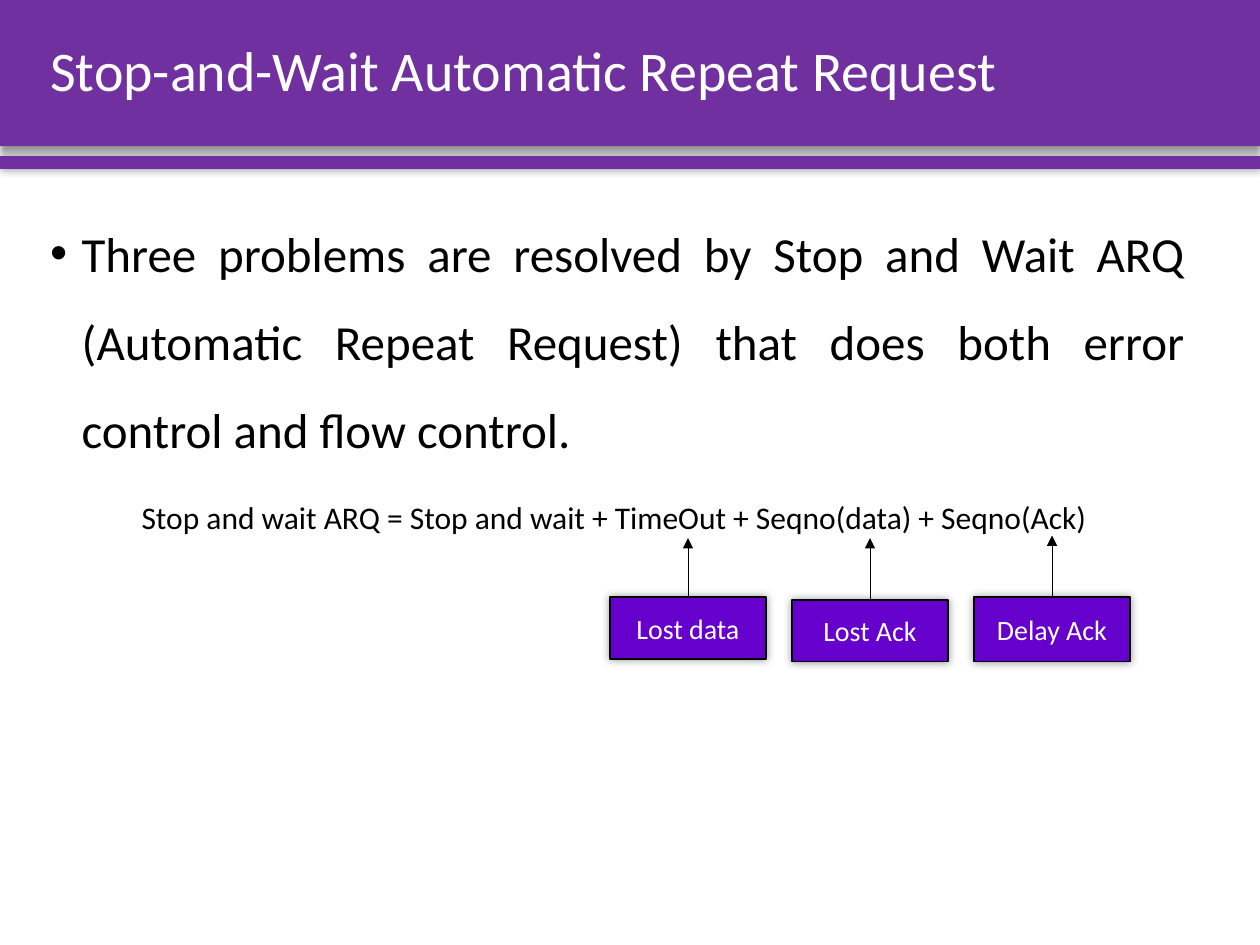
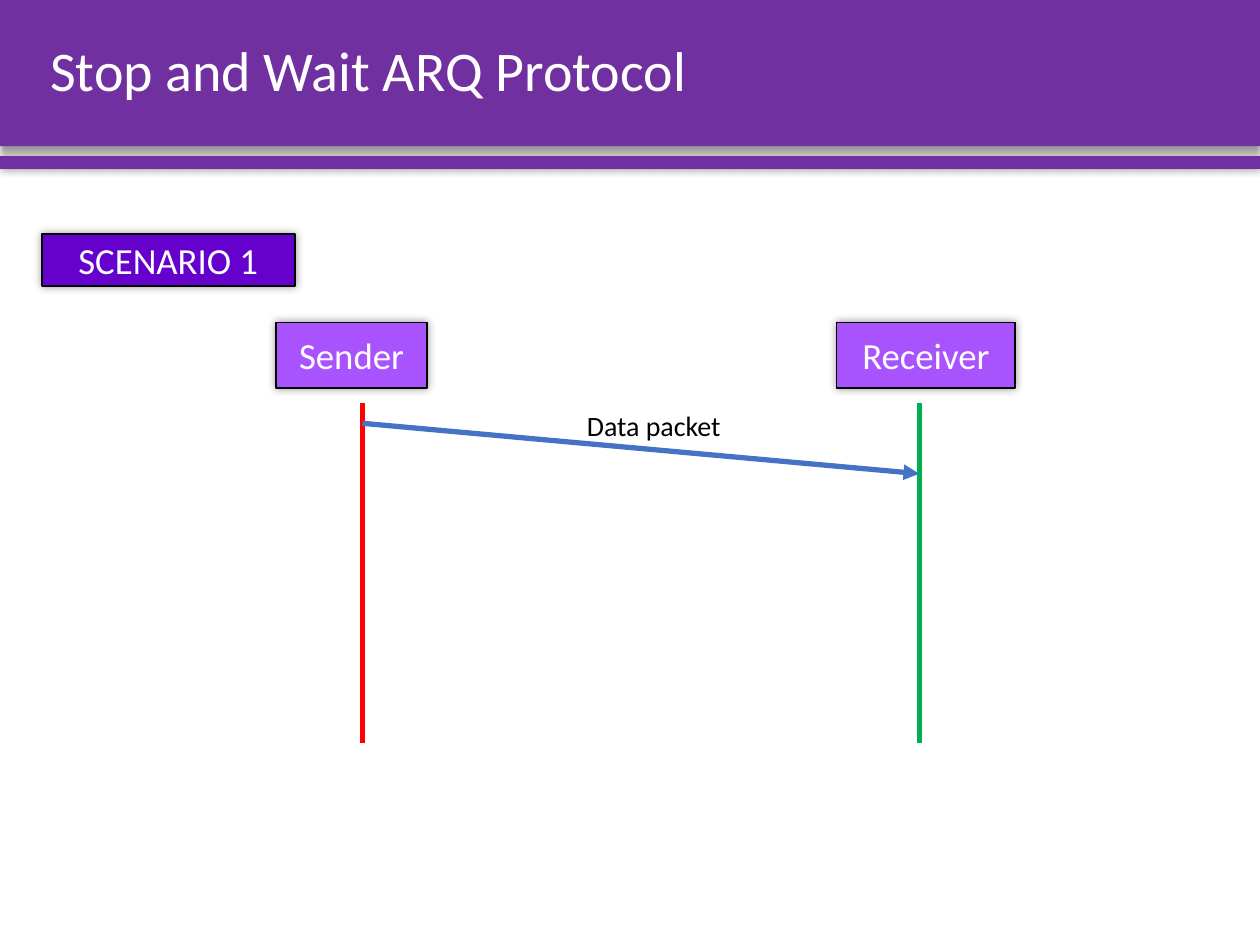
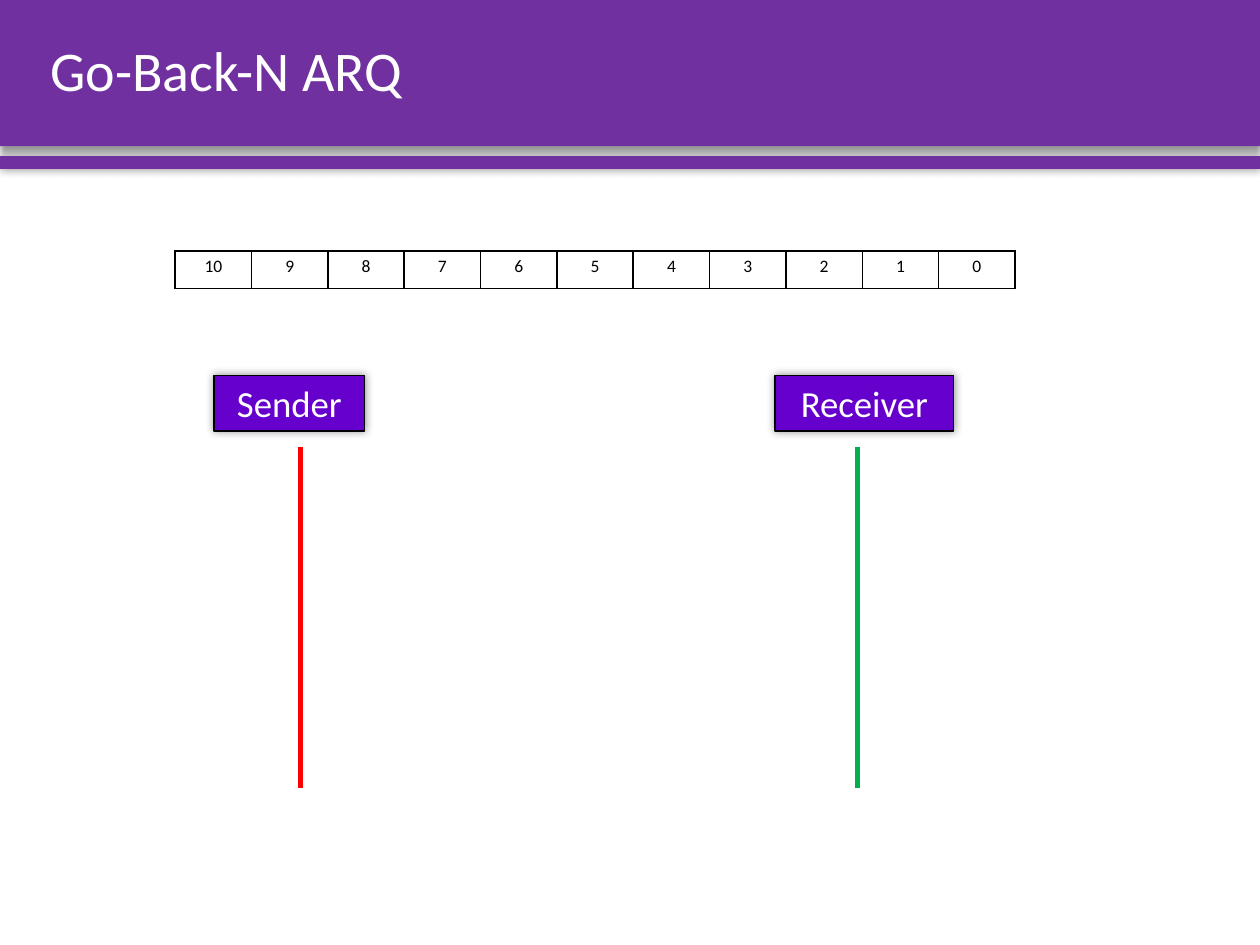
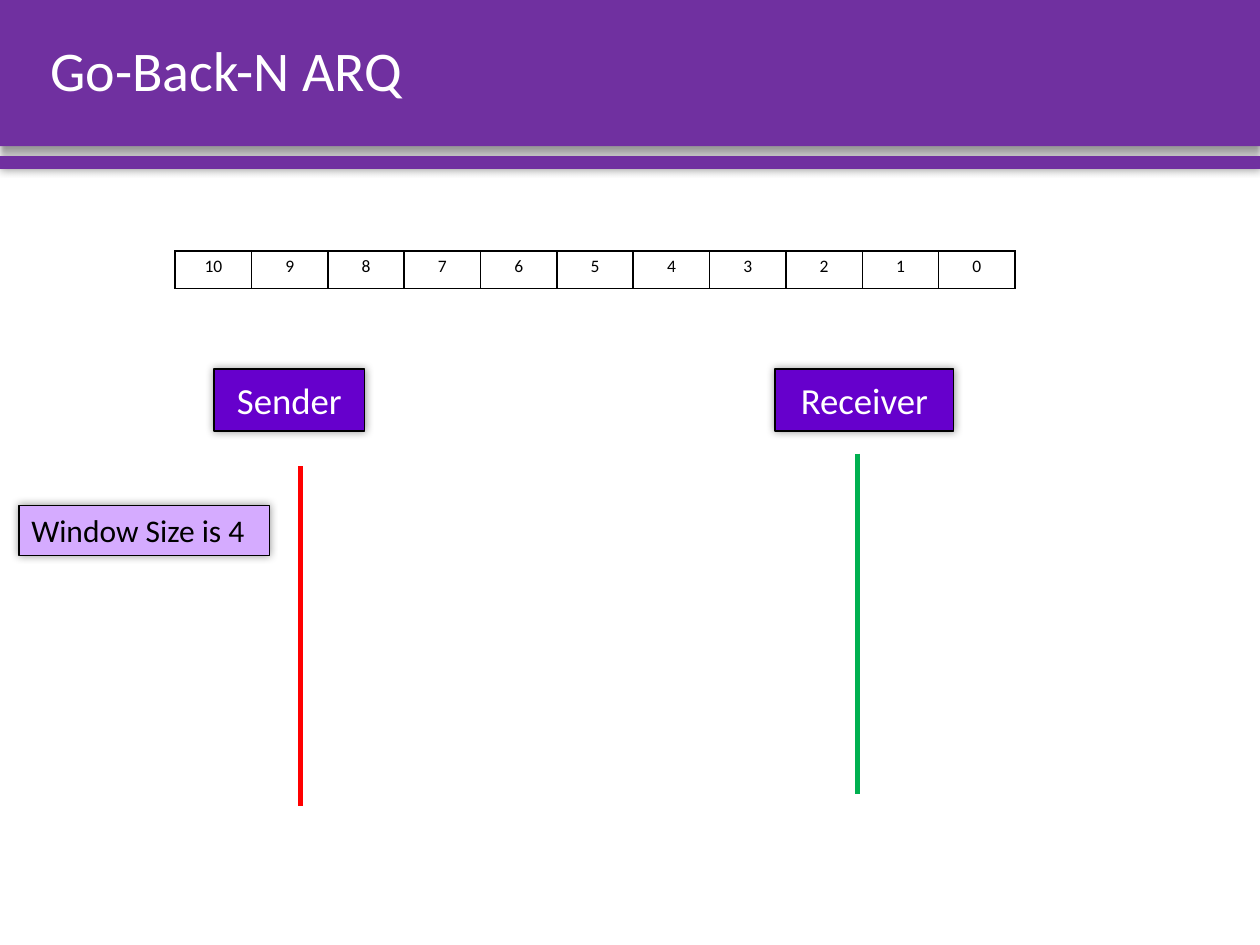
from collections import namedtuple

from lxml.etree import SubElement
from pptx import Presentation
from pptx.dml.color import RGBColor
from pptx.enum.shapes import MSO_CONNECTOR, MSO_SHAPE
from pptx.enum.text import MSO_ANCHOR, PP_ALIGN
from pptx.oxml.ns import qn
from pptx.util import Pt

# Shared look
BAND = RGBColor(0x70, 0x30, 0xA0)
VIOLET = RGBColor(0x66, 0x00, 0xCC)
LILAC = RGBColor(0xA9, 0x53, 0xFF)
PALE_LILAC = RGBColor(0xD5, 0xAB, 0xFF)
RED = RGBColor(0xFF, 0x00, 0x00)
GREEN = RGBColor(0x00, 0xB0, 0x50)
BLUE = RGBColor(0x44, 0x72, 0xC4)
BLACK = RGBColor(0x00, 0x00, 0x00)
WHITE = RGBColor(0xFF, 0xFF, 0xFF)
FONT = "Calibri"
PAGE_WIDTH, PAGE_HEIGHT = 720, 540

Box = namedtuple("Box", "left top width height")

# Main regions, in points
BAND_AREA = Box(0, 0, PAGE_WIDTH, 83.5)
BODY_AREA = Box(21.6, 107.3, 662.4, 172.8)
FORMULA_AREA = Box(21.6, 270, 658.8, 35.3)
TABLE_AREA = Box(100.1, 143.3, 480, 21.6)


# Basic parts
def set_all(target, formats):
    for name, value in formats.items():
        setattr(target, name, value)


def lengths(values):
    return [Pt(value) for value in values]


def write_text(holder, text, size, color, **formats):
    para = holder.text_frame.paragraphs[0]
    set_all(para, formats)
    span = para.add_run()
    span.text = text
    set_all(span.font, {"name": FONT, "size": Pt(size)})
    span.font.color.rgb = color
    return para


def add_text(page, area, text, size, color=BLACK, anchor=MSO_ANCHOR.TOP,
             wrap=True, **formats):
    box = page.shapes.add_textbox(*lengths(area))
    set_all(box.text_frame, {"word_wrap": wrap, "vertical_anchor": anchor})
    return write_text(box, text, size, color, **formats)


def add_shadow(shape, blur=5, distance=0, angle=0):
    shape.shadow.inherit = False
    effects = shape._element.spPr.find(qn("a:effectLst"))
    shadow = SubElement(effects, qn("a:outerShdw"), blurRad=str(Pt(blur)),
                        dist=str(Pt(distance)), dir=str(angle * 60000),
                        algn="ctr", rotWithShape="0")
    tint = SubElement(shadow, qn("a:srgbClr"), val=str(BLACK))
    SubElement(tint, qn("a:alpha"), val="40000")


def add_rectangle(page, area, fill, border=None, **shadow):
    shape = page.shapes.add_shape(MSO_SHAPE.RECTANGLE, *lengths(area))
    shape.fill.solid()
    shape.fill.fore_color.rgb = fill
    if border:
        shape.line.color.rgb = BLACK
        shape.line.width = Pt(border)
    else:
        shape.line.fill.background()
    add_shadow(shape, **shadow)
    return shape


def add_label(page, area, text, size, fill, color=WHITE, border=1,
              alignment=PP_ALIGN.CENTER):
    shape = add_rectangle(page, area, fill, border)
    set_all(shape.text_frame, {"word_wrap": True, "vertical_anchor": MSO_ANCHOR.MIDDLE})
    write_text(shape, text, size, color, alignment=alignment)
    return shape


def add_line(page, start, end, color, width, arrow=False):
    line = page.shapes.add_connector(MSO_CONNECTOR.STRAIGHT, *lengths(start + end))
    line.line.color.rgb = color
    line.line.width = Pt(width)
    properties = line._element.spPr
    if arrow:
        SubElement(properties.find(qn("a:ln")), qn("a:tailEnd"), type="triangle")
    SubElement(properties, qn("a:effectLst"))
    return line


# Regions
def title_band(page, area, title):
    add_rectangle(page, area, BAND, blur=4, distance=3, angle=90)
    stripe = Box(area.left, area.top + area.height + 5.8, area.width, 7.2)
    add_rectangle(page, stripe, BAND)
    title_area = Box(area.left + 21.6, area.top, 681.1, area.height)
    add_text(page, title_area, title, 32, WHITE, MSO_ANCHOR.MIDDLE, line_spacing=0.9)


def bullet_text(page, area, text):
    para = add_text(page, area, text, 28, alignment=PP_ALIGN.JUSTIFY, line_spacing=1.5)
    properties = para._p.get_or_add_pPr()
    properties.set("marL", str(Pt(18)))
    properties.set("indent", str(Pt(-18)))
    SubElement(properties, qn("a:buFont"), typeface="Arial")
    SubElement(properties, qn("a:buChar"), char="•")


def formula(page, area):
    """Formula line, with the problem that each added term solves below it."""
    add_text(page, area,
             "Stop and wait ARQ = Stop and wait + TimeOut + Seqno(data) + Seqno(Ack)",
             18, alignment=PP_ALIGN.CENTER, line_spacing=1.5)
    problems = [("Lost data", 71.3, 35.3, 37.5),
                ("Lost Ack", 72.7, 35.3, 37.5),
                ("Delay Ack", 71.3, 36.7, 36)]
    width, step = 89.3, 104
    for index, (text, drop, height, tip) in enumerate(problems):
        box = Box(area.left + 326.9 + index * step, area.top + drop, width, height)
        label = add_label(page, box, text, 16, VIOLET)
        middle = box.left + width / 2
        arrow = add_line(page, (middle, box.top), (middle, area.top + tip),
                         BLACK, 0.5, arrow=True)
        arrow.begin_connect(label, 0)


def sequence(page, area, fill, gaps):
    """Sender and receiver heads, each with a lifeline a gap below it."""
    lifeline_length = 194.4
    parties = [("Sender", 0, 86, 49.2, RED),
               ("Receiver", area.width - 102, 102, 367.4, GREEN)]
    for (name, shift, width, line_shift, color), gap in zip(parties, gaps):
        head = Box(area.left + shift, area.top, width, area.height)
        add_label(page, head, name, 21, fill)
        line_left = area.left + line_shift
        line_top = area.top + area.height + gap
        add_line(page, (line_left, line_top),
                 (line_left, line_top + lifeline_length), color, 3)


def frame_table(page, area, numbers):
    frame = page.shapes.add_table(1, len(numbers), *lengths(area))
    table = frame.table
    set_all(table, {"first_row": False, "horz_banding": False})
    margins = {"margin_left": Pt(5), "margin_right": Pt(5),
               "margin_top": Pt(2.9), "margin_bottom": Pt(2.9)}
    for column, number in enumerate(numbers):
        table.columns[column].width = Pt(area.width / len(numbers))
        cell = table.cell(0, column)
        set_all(cell, margins)
        write_text(cell, str(number), 10, BLACK, alignment=PP_ALIGN.CENTER)
        # Borders come before the fill in the cell properties
        properties = cell._tc.get_or_add_tcPr()
        for side in ("lnL", "lnR", "lnT", "lnB"):
            border = SubElement(properties, qn(f"a:{side}"), w=str(Pt(1)))
            paint = SubElement(border, qn("a:solidFill"))
            SubElement(paint, qn("a:srgbClr"), val=str(BLACK))
        cell.fill.background()


# Slides
def new_page(deck, title):
    page = deck.slides.add_slide(deck.slide_layouts[6])
    title_band(page, BAND_AREA, title)
    return page


def overview_slide(deck):
    page = new_page(deck, "Stop-and-Wait Automatic Repeat Request")
    bullet_text(page, BODY_AREA,
                "Three problems are resolved by Stop and Wait ARQ (Automatic Repeat "
                "Request) that does both error control and flow control.")
    formula(page, FORMULA_AREA)


def scenario_slide(deck):
    page = new_page(deck, "Stop and Wait ARQ Protocol")
    area = Box(157.9, 184.3, 422.2, 37.4)
    sequence(page, area, LILAC, (8.7, 8.7))
    add_line(page, (area.left + 49.2, area.top + 57.6),
             (area.left + 367.4, area.top + 86.4), BLUE, 3, arrow=True)
    add_label(page, Box(23.8, 133.9, 144.7, 29.5), "SCENARIO 1", 21, VIOLET)
    add_text(page, Box(328.3, 229.7, 100, 26.6), "Data packet", 16, wrap=False)


def go_back_slide(deck, area, gaps, window=None):
    page = new_page(deck, "Go-Back-N ARQ")
    sequence(page, area, VIOLET, gaps)
    frame_table(page, TABLE_AREA, range(10, -1, -1))
    if window:
        note = Box(area.left - 111.6, area.top + 77.7, 143.3, 28.8)
        add_label(page, note, window, 18, PALE_LILAC, BLACK, 0.75, PP_ALIGN.LEFT)


def main():
    deck = Presentation()
    set_all(deck, {"slide_width": Pt(PAGE_WIDTH), "slide_height": Pt(PAGE_HEIGHT)})
    overview_slide(deck)
    scenario_slide(deck)
    go_back_slide(deck, Box(122.4, 214.6, 422.6, 31.7), (9.3, 9.3))
    go_back_slide(deck, Box(122.4, 211, 422.6, 35.3), (20.1, 12.9), "Window Size is 4")
    deck.save("out.pptx")


if __name__ == "__main__":
    main()
